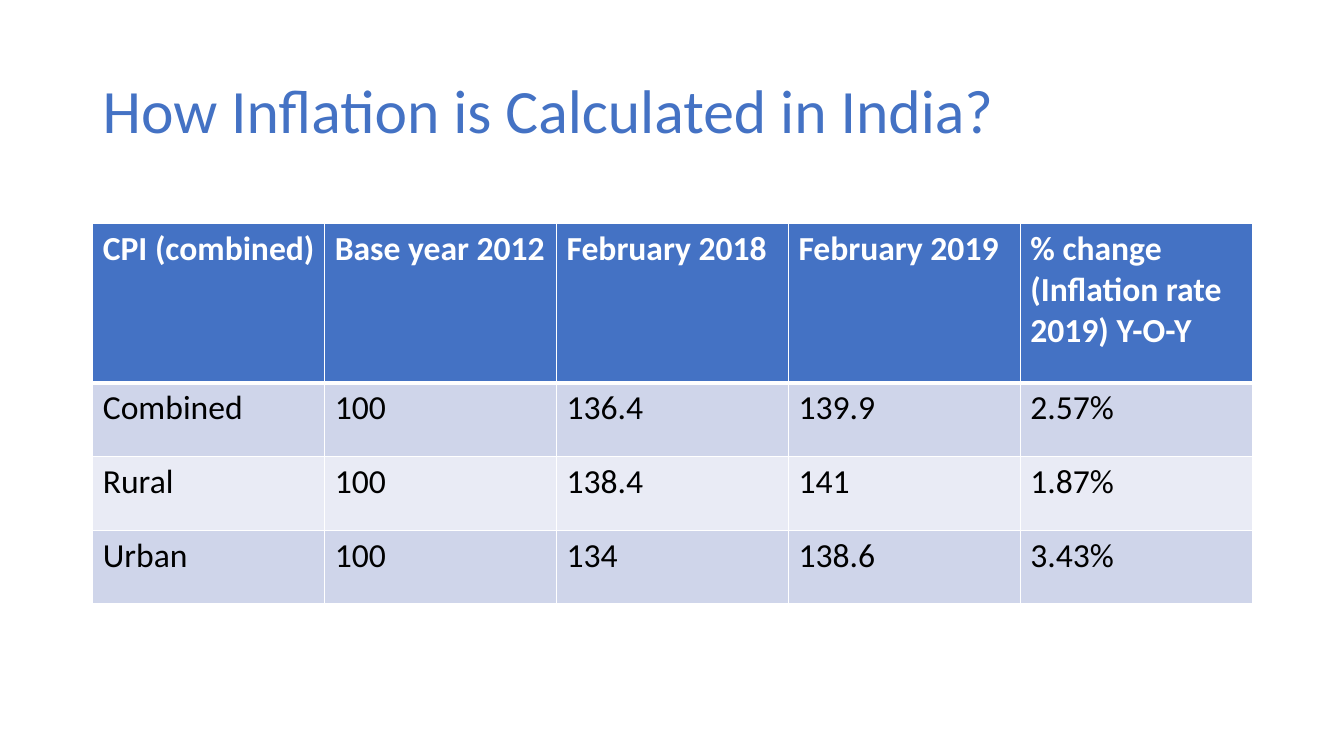
from dataclasses import dataclass

from lxml import etree
from pptx import Presentation
from pptx import util as u
from pptx.dml.color import RGBColor
from pptx.enum import text
from pptx.oxml import ns

PX = 9144  # EMU in one px, 100 px to the inch


@dataclass(frozen=True)
class Theme:
    font: str = "Calibri"
    accent: str = "4472C4"
    white: str = "FFFFFF"
    black: str = "000000"
    bands: tuple[str, str] = ("CFD5EA", "E9EBF5")
    title_size: int = 44
    table_size: int = 24
    thin: int = 1
    thick: int = 3


@dataclass(frozen=True)
class Box:
    left: int
    top: int
    width: int
    height: int

    def emu(self) -> list[int]:
        return [n * PX for n in (self.left, self.top, self.width, self.height)]


@dataclass(frozen=True)
class RowStyle:
    height: int
    fill: str
    color: str
    bold: bool
    top_line: int
    bottom_line: int


THEME = Theme()
TITLE_BOX = Box(92, 40, 1150, 145)
TABLE_BOX = Box(92, 222, 1150, 377)
HEADER_HEIGHT, BODY_HEIGHT = 158, 73
ROWS = [
    ["CPI (combined)", "Base year 2012", "February 2018", "February 2019",
     "% change (Inflation rate 2019) Y-O-Y"],
    ["Combined", "100", "136.4", "139.9", "2.57%"],
    ["Rural", "100", "138.4", "141", "1.87%"],
    ["Urban", "100", "134", "138.6", "3.43%"],
]


def add_span(para, words: str, size: int, color: str, bold: bool = False) -> None:
    span = para.add_run()
    span.text = words
    span.font.name = THEME.font
    span.font.size = u.Pt(size)
    span.font.bold = bold
    span.font.color.rgb = RGBColor.from_string(color)


def add_title(page, box: Box, words: str) -> None:
    frame = page.shapes.add_textbox(*box.emu()).text_frame
    frame.word_wrap = True
    frame.vertical_anchor = text.MSO_ANCHOR.MIDDLE
    para = frame.paragraphs[0]
    para.line_spacing = 0.9
    add_span(para, words, THEME.title_size, THEME.accent)


def add_border(cell, side: str, points: int) -> None:
    properties = cell._tc.get_or_add_tcPr()
    line = etree.SubElement(properties, ns.qn(f"a:ln{side}"), w=str(u.Pt(points)))
    fill = etree.SubElement(line, ns.qn("a:solidFill"))
    etree.SubElement(fill, ns.qn("a:srgbClr"), val=THEME.white)


def row_style(index: int) -> RowStyle:
    if index == 0:
        return RowStyle(HEADER_HEIGHT, THEME.accent, THEME.white, True,
                        THEME.thin, THEME.thick)
    top_line = THEME.thick if index == 1 else THEME.thin
    return RowStyle(BODY_HEIGHT, THEME.bands[(index - 1) % 2], THEME.black, False,
                    top_line, THEME.thin)


def fill_cell(cell, words: str, style: RowStyle) -> None:
    # Borders come before the fill in the cell properties
    add_border(cell, "L", THEME.thin)
    add_border(cell, "R", THEME.thin)
    add_border(cell, "T", style.top_line)
    add_border(cell, "B", style.bottom_line)
    cell.fill.solid()
    cell.fill.fore_color.rgb = RGBColor.from_string(style.fill)
    add_span(cell.text_frame.paragraphs[0], words, THEME.table_size,
             style.color, style.bold)


def add_cpi_table(page, box: Box, rows: list[list[str]]) -> None:
    table = page.shapes.add_table(len(rows), len(rows[0]), *box.emu()).table
    for column in table.columns:
        column.width = box.width * PX // len(rows[0])
    for index, row in enumerate(rows):
        style = row_style(index)
        table.rows[index].height = style.height * PX
        for cell, words in zip(table.rows[index].cells, row):
            fill_cell(cell, words, style)


def main() -> None:
    deck = Presentation()
    deck.slide_width, deck.slide_height = u.Inches(13.33), u.Inches(7.5)
    page = deck.slides.add_slide(deck.slide_layouts[6])

    # Heading
    add_title(page, TITLE_BOX, "How Inflation is Calculated in India?")

    # Price index by area
    add_cpi_table(page, TABLE_BOX, ROWS)

    deck.save("out.pptx")


if __name__ == "__main__":
    main()
